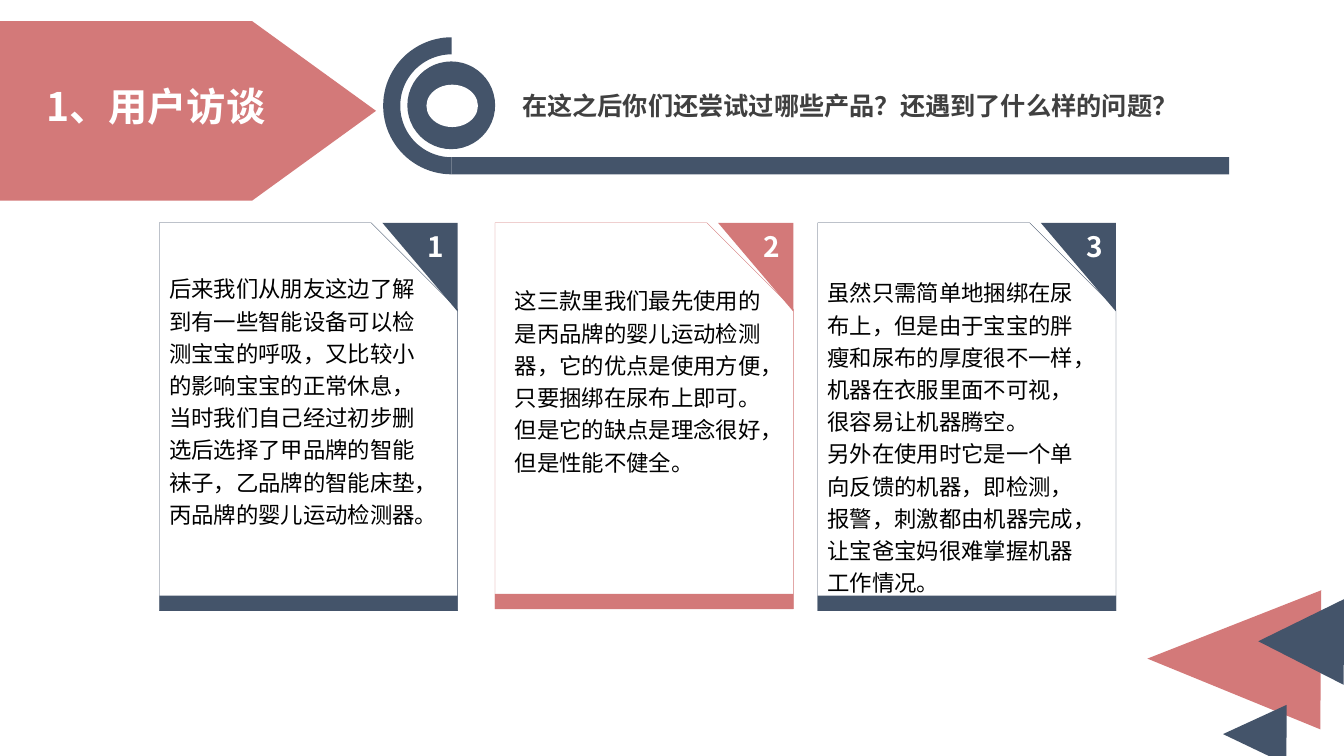
from math import cos, pi, sin

from lxml.etree import SubElement
from pptx import Presentation
from pptx.dml.color import RGBColor
from pptx.enum.shapes import MSO_SHAPE
from pptx.enum.text import MSO_ANCHOR, MSO_AUTO_SIZE, PP_ALIGN
from pptx.oxml.ns import qn
from pptx.util import Inches, Pt

FONT = "Noto Sans CJK SC"
COLORS = {"rose": "D37979", "navy": "44546A", "white": "FFFFFF",
          "black": "000000", "gray": "404040"}
HEADING = "1、用户访谈"
QUESTION = "在这之后你们还尝试过哪些产品？还遇到了什么样的问题？"
CARDS = [
    {"number": "1", "color": "navy", "left": 11.85, "height": 51.33,
     "answer_box": (11.85, 35.07, 21.23, 35.73),
     "answer": ["后来我们从朋友这边了解到有一些智能设备可以检测宝宝的呼吸，又比较小的影响宝宝的正常休息，"
                "当时我们自己经过初步删选后选择了甲品牌的智能袜子，乙品牌的智能床垫，丙品牌的婴儿运动检测器。"]},
    {"number": "2", "color": "rose", "left": 36.83, "height": 51.07,
     "answer_box": (37.58, 36.67, 21.23, 27.2),
     "answer": ["这三款里我们最先使用的是丙品牌的婴儿运动检测器，它的优点是使用方便，只要捆绑在尿布上即可。"
                "但是它的缺点是理念很好，但是性能不健全。"]},
    {"number": "3", "color": "navy", "left": 60.84, "height": 51.33,
     "answer_box": (60.84, 35.6, 21.23, 44.4),
     "answer": ["虽然只需简单地捆绑在尿布上，但是由于宝宝的胖瘦和尿布的厚度很不一样，"
                "机器在衣服里面不可视，很容易让机器腾空。",
                "另外在使用时它是一个单向反馈的机器，即检测，报警，刺激都由机器完成，"
                "让宝爸宝妈很难掌握机器工作情况。"]},
]
CORNER_TRIANGLES = [
    ("rose", (86.65, 75.73, 10.35, 22.93)),
    ("navy", (91.15, 92.93, 4.43, 8.4)),
    ("navy", (93.62, 79.2, 6.38, 11.33)),
]
CARD_TOP, CARD_WIDTH, BAND_HEIGHT = 29.47, 22.2, 2
FOLD_WIDTH, FOLD_HEIGHT = 5.6, 11.73
RING_X, RING_Y, RING_OUTER, RING_INNER = 33.61, 14, 5.1, 3.83
RING_STEPS = 48

deck = Presentation()
deck.slide_width, deck.slide_height = Inches(13.33), Inches(7.5)
slide = deck.slides.add_slide(deck.slide_layouts[5])


def across(percent):
    return round(deck.slide_width * percent / 100)


def down(percent):
    return round(deck.slide_height * percent / 100)


def place(left, top, width, height):
    return across(left), down(top), across(width), down(height)


def paint(shape, fill, line=None):
    shape.shadow.inherit = False
    shape.fill.solid()
    shape.fill.fore_color.rgb = RGBColor.from_string(COLORS[fill])
    if line:
        shape.line.color.rgb = RGBColor.from_string(COLORS[line])
        shape.line.width = Pt(0.25)
    else:
        shape.line.fill.background()
    return shape


def add_preset(kind, box, fill, line=None):
    return paint(slide.shapes.add_shape(kind, *place(*box)), fill, line)


def add_outline(points, fill):
    start, *rest = [(across(x), down(y)) for x, y in points]
    builder = slide.shapes.build_freeform(*start)
    builder.add_line_segments(rest, close=True)
    return paint(builder.convert_to_shape(), fill)


def write(shape, paragraphs, size, color, bold=False, align=PP_ALIGN.LEFT,
          spacing=None, insets=(0.1, 0.05)):
    frame = shape.text_frame
    frame.word_wrap = True
    frame.auto_size = MSO_AUTO_SIZE.NONE
    frame.vertical_anchor = MSO_ANCHOR.TOP
    frame.margin_left = frame.margin_right = Inches(insets[0])
    frame.margin_top = frame.margin_bottom = Inches(insets[1])
    for index, words in enumerate(paragraphs):
        paragraph = frame.add_paragraph() if index else frame.paragraphs[0]
        paragraph.alignment = align
        paragraph.line_spacing = spacing
        run = paragraph.add_run()
        run.text = words
        run.font.size = Pt(size)
        run.font.bold = bold
        run.font.name = FONT
        run.font.color.rgb = RGBColor.from_string(COLORS[color])
        SubElement(run.font._element, qn("a:ea")).set("typeface", FONT)


def add_words(box, paragraphs, **style):
    write(slide.shapes.add_textbox(*place(*box)), paragraphs, **style)


def half_circle(radius):
    angles = [pi / 2 + pi * step / RING_STEPS for step in range(RING_STEPS + 1)]
    aspect = deck.slide_width / deck.slide_height
    return [(RING_X + radius * cos(angle), RING_Y + radius * aspect * sin(angle))
            for angle in angles]


for color, box in CORNER_TRIANGLES:
    add_preset(MSO_SHAPE.ISOSCELES_TRIANGLE, box, color).rotation = 270.4

for card in CARDS:
    left, color = card["left"], card["color"]
    right, bottom = left + CARD_WIDTH, CARD_TOP + card["height"]
    panel = add_preset(MSO_SHAPE.SNIP_1_RECTANGLE,
                       (left, CARD_TOP, CARD_WIDTH, card["height"]), "white", color)
    panel.adjustments[0] = 0.29
    add_preset(MSO_SHAPE.RECTANGLE,
               (left, bottom - BAND_HEIGHT, CARD_WIDTH, BAND_HEIGHT), color)
    fold = add_outline([(right, CARD_TOP), (right - FOLD_WIDTH, CARD_TOP),
                        (right, CARD_TOP + FOLD_HEIGHT)], color)
    write(fold, [card["number"]], size=20, color="white", bold=True,
          align=PP_ALIGN.RIGHT, insets=(0.13, 0.07))
    add_words(card["answer_box"], card["answer"], size=16, color="black", spacing=1.2)

banner = add_preset(MSO_SHAPE.PENTAGON, (0, 2.8, 27.98, 23.73), "rose")
banner.adjustments[0] = 0.69
heading = slide.shapes.title
heading.left, heading.top, heading.width, heading.height = place(2.7, 10.27, 26.71, 7.6)
write(heading, [HEADING], size=28, color="white", bold=True, align=PP_ALIGN.JUSTIFY)
banner.element.addnext(heading.element)

add_outline(half_circle(RING_OUTER) + half_circle(RING_INNER)[::-1], "navy")
add_preset(MSO_SHAPE.RECTANGLE, (RING_X, 20.8, 57.84, 2.27), "navy")
add_preset(MSO_SHAPE.OVAL, (30.31, 8.13, 6.53, 11.6), "navy")
add_preset(MSO_SHAPE.OVAL, (31.73, 11.2, 3.83, 5.6), "white")
add_words((38.11, 11.33, 53.34, 5.33), [QUESTION], size=18, color="gray", bold=True)

deck.save("out.pptx")
